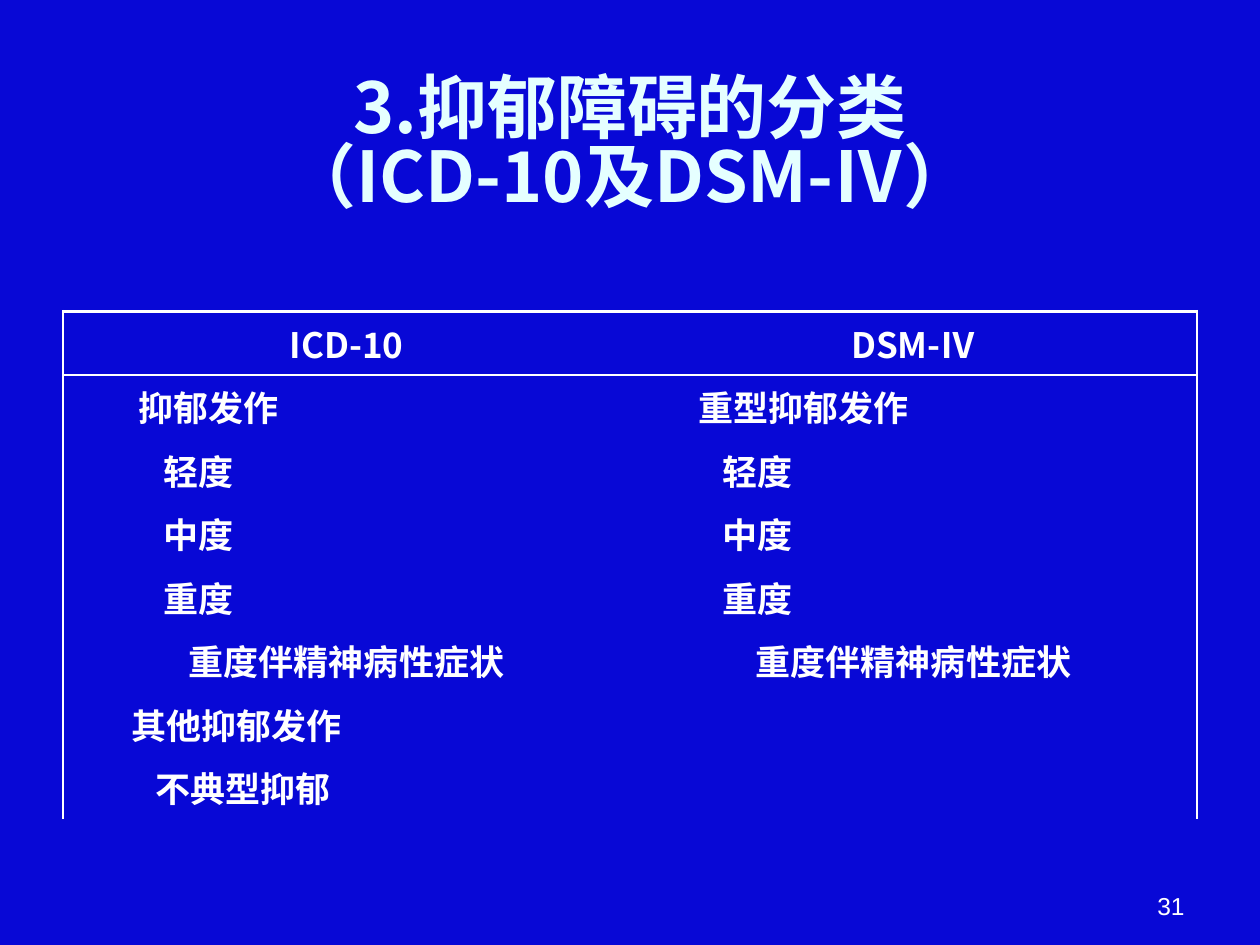
"""Build a slide comparing how ICD-10 and DSM-Ⅳ classify depressive disorders."""
from lxml.etree import SubElement
from pptx import Presentation
from pptx.dml.color import RGBColor
from pptx.enum.text import MSO_ANCHOR as Anchor, MSO_AUTO_SIZE as AutoSize, PP_ALIGN as Align
from pptx.oxml.ns import qn
from pptx.util import Pt

COLORS = {"background": "0808D6", "title": "E5FFFF", "text": "FFFFFF"}
CJK = "Noto Sans CJK SC"
MAIN, SUB = 36, 50
OTHER, OTHER_SUB = 32, 45.5
CENTERED = None
ROWS = [
    [("ICD-10", CENTERED), ("DSM-Ⅳ", CENTERED)],
    [("抑郁发作", MAIN), ("重型抑郁发作", OTHER)],
    [("轻度", SUB), ("轻度", OTHER_SUB)],
    [("中度", SUB), ("中度", OTHER_SUB)],
    [("重度", SUB), ("重度", OTHER_SUB)],
    [("重度伴精神病性症状", CENTERED), ("重度伴精神病性症状", CENTERED)],
    [("其他抑郁发作", OTHER), ("", OTHER)],
    [("不典型抑郁", OTHER_SUB), ("", OTHER)],
]


def write(frame, text, *, size, color="text", font=CJK, bold=True,
          align=Align.LEFT, indent=0, before=0, spacing=None):
    """Put formatted text into the first paragraph of a frame."""
    frame.text = text
    paragraph = frame.paragraphs[0]
    paragraph.alignment = align
    paragraph.space_before = Pt(before)
    if spacing:
        paragraph.line_spacing = spacing
    if indent:
        paragraph._p.get_or_add_pPr().set("marL", str(Pt(indent)))
    for run in paragraph.runs:
        run.font.size = Pt(size)
        run.font.bold = bold
        run.font.name = font
        run.font.color.rgb = RGBColor.from_string(COLORS[color])
        SubElement(run._r.get_or_add_rPr(), qn("a:ea"), typeface=font)


class ClassificationSlide:
    """Hold the slide and draw its parts."""

    def __init__(self, deck):
        self.slide = deck.slides.add_slide(deck.slide_layouts[5])
        fill = self.slide.background.fill
        fill.solid()
        fill.fore_color.rgb = RGBColor.from_string(COLORS["background"])

    def title(self, text, left, top, width, height):
        heading = self.slide.shapes.title
        heading.left, heading.top = Pt(left), Pt(top)
        heading.width, heading.height = Pt(width), Pt(height)
        frame = heading.text_frame
        frame.auto_size = AutoSize.NONE
        frame.vertical_anchor = Anchor.MIDDLE
        write(frame, text, size=40, color="title", align=Align.CENTER, spacing=0.82)

    def borders(self, cell, widths):
        properties = cell._tc.get_or_add_tcPr()
        for side in ("L", "R", "T", "B"):
            width = widths.get(side, 0)
            line = SubElement(properties, qn(f"a:ln{side}"), w=str(Pt(width)))
            if width:
                paint = SubElement(line, qn("a:solidFill"))
                SubElement(paint, qn("a:srgbClr"), val=COLORS["text"])
            else:
                SubElement(line, qn("a:noFill"))

    def table(self, rows, left, top, width, row_height):
        columns = len(rows[0])
        grid = self.slide.shapes.add_table(
            len(rows), columns, Pt(left), Pt(top), Pt(width), Pt(row_height * len(rows))).table
        grid.first_row = grid.horz_banding = False
        for r, entries in enumerate(rows):
            for c, (text, indent) in enumerate(entries):
                cell = grid.cell(r, c)
                align = Align.CENTER if indent is CENTERED else Align.LEFT
                write(cell.text_frame, text, size=20, align=align, indent=indent or 0, before=4)
                self.borders(cell, {
                    "L": 1 if c == 0 else 0,
                    "R": 1 if c == columns - 1 else 0,
                    "T": {0: 2.25, 1: 1}.get(r, 0),
                    "B": 1 if r == 0 else 0,
                })
                cell.fill.background()

    def page_number(self, text, left, top, width, height):
        frame = self.slide.shapes.add_textbox(
            Pt(left), Pt(top), Pt(width), Pt(height)).text_frame
        frame.word_wrap = True
        frame.vertical_anchor = Anchor.BOTTOM
        write(frame, text, size=14, font="Arial", bold=False, align=Align.RIGHT)


def main():
    deck = Presentation()
    deck.slide_width, deck.slide_height = Pt(720), Pt(540)
    page = ClassificationSlide(deck)
    page.title("3.抑郁障碍的分类\v（ICD-10及DSM-Ⅳ）", 36, 30, 648, 108)
    page.table(ROWS, 36, 178, 648, 31.2)
    page.page_number("31", 516, 492, 168, 37.5)
    deck.save("out.pptx")


if __name__ == "__main__":
    main()
